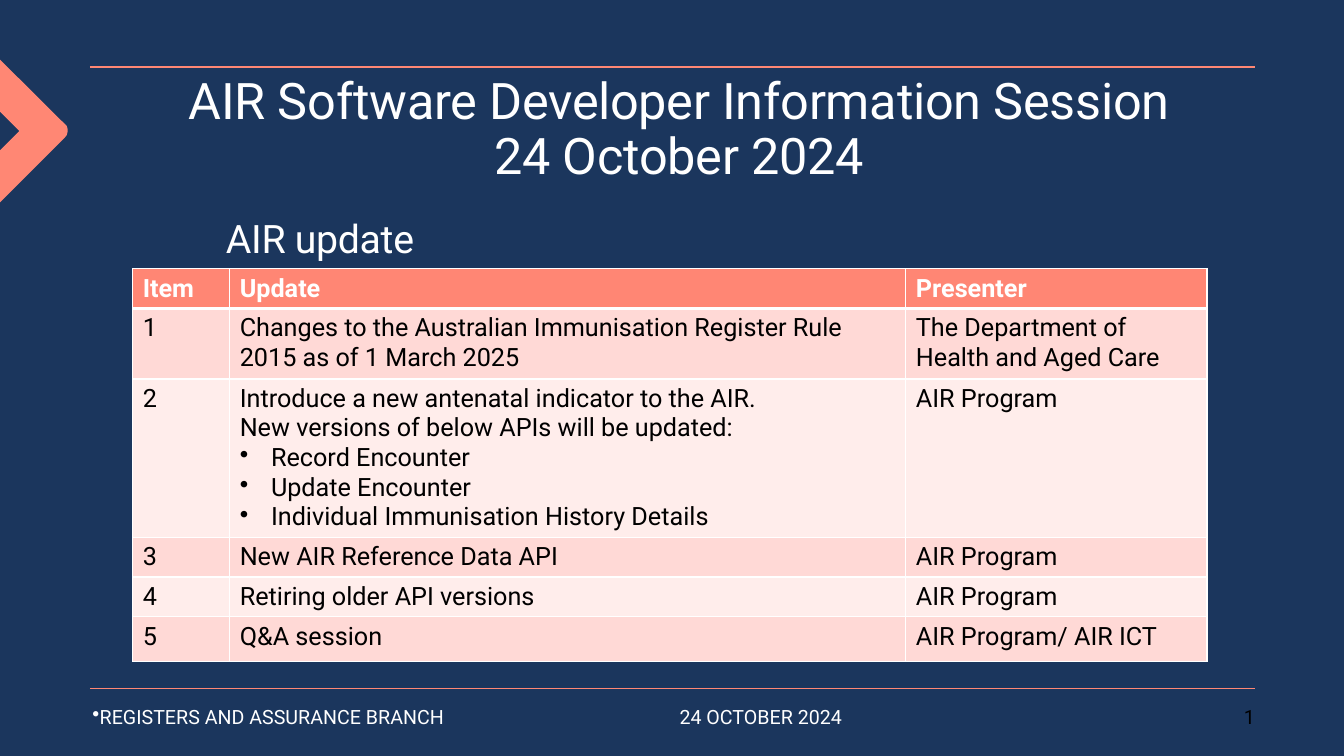
from pptx import Presentation
from pptx.dml.color import RGBColor
from pptx.enum.shapes import MSO_CONNECTOR
from pptx.enum.text import MSO_ANCHOR, MSO_AUTO_SIZE, PP_ALIGN
from pptx.oxml.ns import qn
from pptx.util import Inches, Pt
from lxml import etree

LEFT, CENTER, RIGHT = PP_ALIGN.LEFT, PP_ALIGN.CENTER, PP_ALIGN.RIGHT
TOP, MIDDLE = MSO_ANCHOR.TOP, MSO_ANCHOR.MIDDLE
NO_AUTOFIT = MSO_AUTO_SIZE.NONE
STRAIGHT = MSO_CONNECTOR.STRAIGHT

NAVY, CORAL, WHITE, BLACK = "1B365D", "FF8774", "FFFFFF", "000000"
HEADER_FILL, BAND_FILLS = "FF8674", ("FFD9D6", "FFEDEB")
COLUMNS, ROWS = 160, 90
BULLET = "• "

CHEVRON = [(0, 7.1), (0, 13.3), (2.3, 15.6), (0, 17.9), (0, 24.1), (7.7, 16.4),
           (7.95, 16.1), (8.05, 15.7), (8.05, 15.35), (7.95, 15), (7.7, 14.75)]
COLUMN_WIDTHS = [11.55, 80.5, 35.85]
ROW_HEIGHTS = [4.7, 8.4, 18.85, 4.7, 4.7, 5.3]
AGENDA = [
    ("Item", "Update", "Presenter"),
    ("1", "Changes to the Australian Immunisation Register Rule 2015 as of 1 March 2025",
     "The Department of Health and Aged Care"),
    ("2", "Introduce a new antenatal indicator to the AIR.\n"
          "New versions of below APIs will be updated:\n"
          "• Record Encounter\n• Update Encounter\n"
          "• Individual Immunisation History Details", "AIR Program"),
    ("3", "New AIR Reference Data API", "AIR Program"),
    ("4", "Retiring older API versions", "AIR Program"),
    ("5", "Q&A session", "AIR Program/ AIR ICT"),
]


def color(value):
    """Turn a hex string into a colour."""
    return RGBColor.from_string(value)


class SlideBuilder:
    """Draw styled elements on one slide, measured in grid columns and rows."""

    def __init__(self, presentation, font="Roboto"):
        """Add a slide and keep its grid and font."""
        self.slide = presentation.slides.add_slide(presentation.slide_layouts[1])
        self.column = presentation.slide_width / COLUMNS
        self.row = presentation.slide_height / ROWS
        self.font = font

    def across(self, columns):
        """Convert grid columns to a length."""
        return round(columns * self.column)

    def down(self, rows):
        """Convert grid rows to a length."""
        return round(rows * self.row)

    def box(self, left, top, width, height):
        """Convert a grid box to lengths."""
        return self.across(left), self.down(top), self.across(width), self.down(height)

    def background(self, fill):
        """Fill the slide background."""
        self.slide.background.fill.solid()
        self.slide.background.fill.fore_color.rgb = color(fill)

    def freeform(self, points, fill):
        """Draw a closed filled outline."""
        corners = [(self.across(x), self.down(y)) for x, y in points]
        builder = self.slide.shapes.build_freeform(*corners[0])
        builder.add_line_segments(corners[1:], close=True)
        shape = builder.convert_to_shape()
        shape.shadow.inherit = False
        shape.fill.solid()
        shape.fill.fore_color.rgb = color(fill)
        shape.line.fill.background()

    def rule(self, left, top, width, line):
        """Draw a thin horizontal line."""
        start, height, end = self.across(left), self.down(top), self.across(left + width)
        connector = self.slide.shapes.add_connector(STRAIGHT, start, height, end, height)
        connector.line.color.rgb = color(line)
        connector.line.width = Pt(1)
        etree.SubElement(connector.element.spPr, qn("a:effectLst"))

    def style(self, paragraph, size, text_color, bold=False, align=LEFT):
        """Set the font and alignment of a paragraph."""
        paragraph.alignment = align
        paragraph.font.name = self.font
        paragraph.font.size = Pt(size)
        paragraph.font.bold = bold
        paragraph.font.color.rgb = color(text_color)

    def bullet(self, paragraph, margin, indent, percent=100):
        """Give a paragraph a round bullet and a hanging indent."""
        properties = paragraph._p.get_or_add_pPr()
        properties.set("marL", str(Inches(margin)))
        properties.set("indent", str(Inches(indent)))
        size = etree.Element(qn("a:buSzPct"), val=str(percent * 1000))
        character = etree.Element(qn("a:buChar"), char=BULLET.strip())
        properties.insert(0, character)
        properties.insert(0, size)

    def frame(self, shape, anchor):
        """Remove margins and set wrapping and anchor of a text frame."""
        frame = shape.text_frame
        frame.word_wrap = True
        frame.auto_size = NO_AUTOFIT
        frame.vertical_anchor = anchor
        frame.margin_left = frame.margin_right = frame.margin_top = frame.margin_bottom = 0
        return frame.paragraphs[0]

    def heading(self, index, text, box, size, align=LEFT):
        """Fill and place a title or body placeholder."""
        shape = self.slide.placeholders[index]
        shape.left, shape.top, shape.width, shape.height = self.box(*box)
        paragraph = self.frame(shape, TOP)
        paragraph.text = text
        self.style(paragraph, size, WHITE, align=align)
        paragraph.line_spacing = 0.9
        paragraph.space_before = Pt(0)
        properties = paragraph._p.get_or_add_pPr()
        properties.set("marL", "0")
        properties.set("indent", "0")
        default_font = properties.find(qn("a:defRPr"))
        default_font.set("spc", "-20")
        default_font.addprevious(etree.Element(qn("a:buNone")))

    def footer(self, left, width, text, text_color=WHITE, align=LEFT):
        """Add one line of footer text and return its paragraph."""
        shape = self.slide.shapes.add_textbox(*self.box(left, 82.9, width, 4.8))
        paragraph = self.frame(shape, MIDDLE)
        paragraph.text = text
        self.style(paragraph, 14, text_color, align=align)
        return paragraph

    def borders(self, cell, bottom):
        """Draw white borders round a cell."""
        properties = cell._tc.get_or_add_tcPr()
        for side, width in (("L", 1), ("R", 1), ("T", 1), ("B", bottom)):
            line = etree.SubElement(properties, qn(f"a:ln{side}"), w=str(Pt(width)))
            fill = etree.SubElement(line, qn("a:solidFill"))
            etree.SubElement(fill, qn("a:srgbClr"), val=WHITE)

    def cell(self, cell, text, fill, header):
        """Fill and format one table cell."""
        self.borders(cell, 3 if header else 1)
        cell.fill.solid()
        cell.fill.fore_color.rgb = color(fill)
        lines = text.split("\n")
        cell.text = "\n".join(line.removeprefix(BULLET) for line in lines)
        for line, paragraph in zip(lines, cell.text_frame.paragraphs):
            self.style(paragraph, 18, WHITE if header else BLACK, header)
            if line.startswith(BULLET):
                self.bullet(paragraph, 0.31, -0.31)

    def table(self, left, top, widths, heights, rows):
        """Add a banded table."""
        box = self.box(left, top, sum(widths), sum(heights))
        table = self.slide.shapes.add_table(len(rows), len(widths), *box).table
        for column, width in zip(table.columns, widths):
            column.width = self.across(width)
        for index, (height, texts) in enumerate(zip(heights, rows)):
            table.rows[index].height = self.down(height)
            fill = BAND_FILLS[(index - 1) % 2] if index else HEADER_FILL
            for cell, text in zip(table.rows[index].cells, texts):
                self.cell(cell, text, fill, index == 0)


def main():
    """Build the agenda slide."""
    presentation = Presentation()
    presentation.slide_width, presentation.slide_height = Inches(13.33), Inches(7.5)
    builder = SlideBuilder(presentation)
    builder.background(NAVY)
    builder.freeform(CHEVRON, CORAL)
    for top in (8, 82):
        builder.rule(10.7, top, 138.7, CORAL)
    builder.heading(0, "AIR Software Developer Information Session\v24 October 2024",
                    (18.1, 9.1, 125.5, 16.1), 36, CENTER)
    builder.heading(1, "AIR update", (26.9, 26.2, 107.9, 5.5), 28)
    builder.footer(80.9, 36, "24 OCTOBER 2024")
    branch = builder.footer(11, 69.9, "REGISTERS AND ASSURANCE BRANCH")
    builder.bullet(branch, 0, -0.16, 105)
    builder.footer(136.9, 12.5, "1", BLACK, RIGHT)
    builder.table(15.8, 32, COLUMN_WIDTHS, ROW_HEIGHTS, AGENDA)
    presentation.save("out.pptx")


if __name__ == "__main__":
    main()
